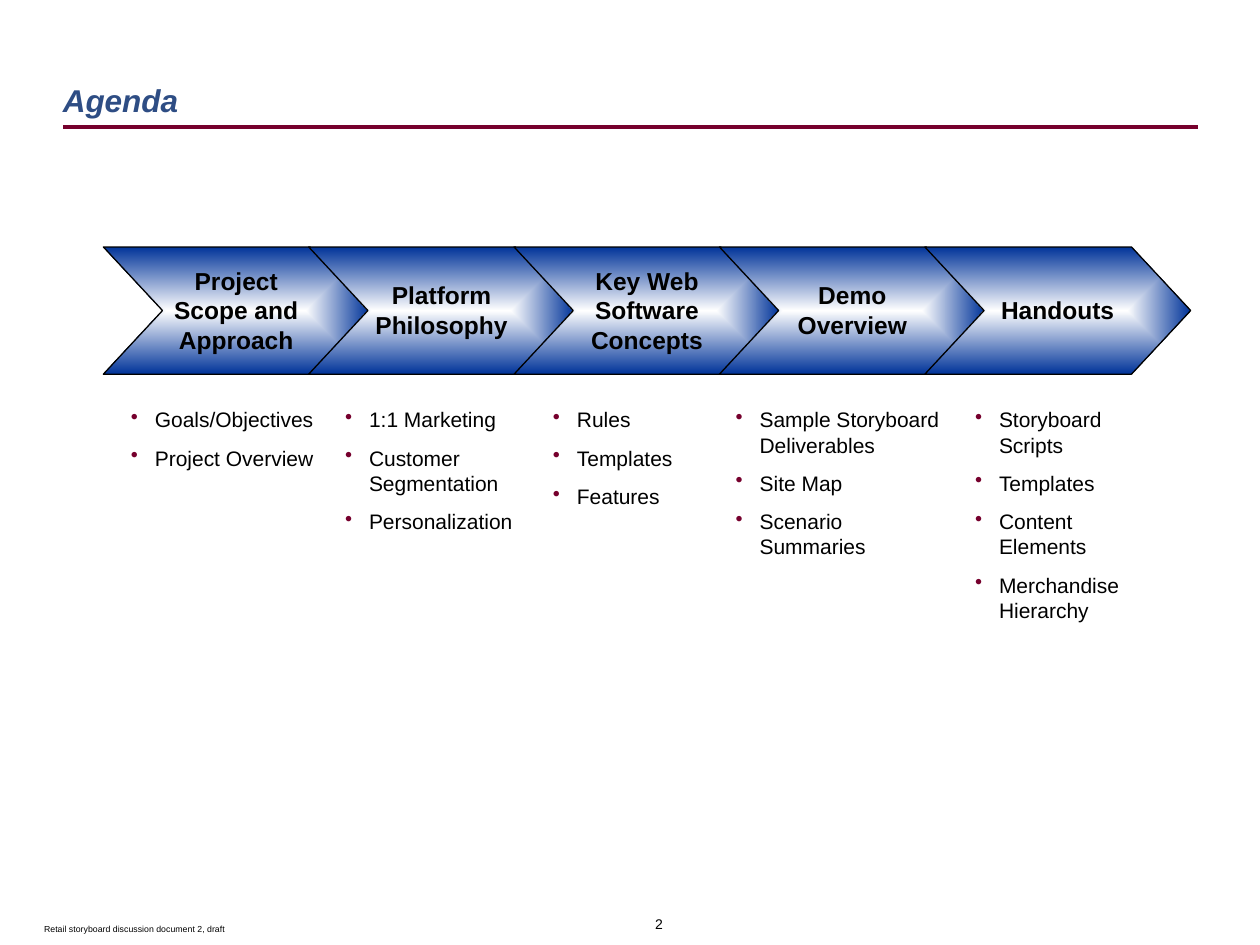
from lxml import etree
from pptx import Presentation
from pptx.dml.color import RGBColor
from pptx.enum.shapes import MSO_CONNECTOR, MSO_SHAPE
from pptx.enum.text import MSO_ANCHOR, PP_ALIGN
from pptx.oxml import parse_xml
from pptx.oxml.ns import nsdecls, qn
from pptx.util import Inches, Pt

CHEVRON = MSO_SHAPE.CHEVRON
STRAIGHT = MSO_CONNECTOR.STRAIGHT
LEFT, CENTER, RIGHT = PP_ALIGN.LEFT, PP_ALIGN.CENTER, PP_ALIGN.RIGHT
TOP, MIDDLE, BOTTOM = MSO_ANCHOR.TOP, MSO_ANCHOR.MIDDLE, MSO_ANCHOR.BOTTOM
BLACK, WHITE, BLUE, NAVY, WINE = "000000", "FFFFFF", "003399", "2E4D84", "76002D"


def color(target, code):
    target.rgb = RGBColor.from_string(code)


def add_text(lines, x, y, w, h, size=12, ink=BLACK, bold=False, italic=False,
             align=LEFT, anchor=TOP, inset=(0.1, 0.05), wrap=True,
             spacing=None, gap=0, bullet=None):
    """Add a text box with one paragraph per line; bullet is the marker colour."""
    frame = slide.shapes.add_textbox(Inches(x), Inches(y), Inches(w), Inches(h)).text_frame
    frame.word_wrap = wrap
    frame.vertical_anchor = anchor
    frame.margin_left = frame.margin_right = Inches(inset[0])
    frame.margin_top = frame.margin_bottom = Inches(inset[1])
    for i, line in enumerate(lines):
        para = frame.paragraphs[0] if i == 0 else frame.add_paragraph()
        para.alignment = align
        if spacing:
            para.line_spacing = spacing
        if i:
            para.space_before = Pt(gap)
        if bullet:
            props = para._p.get_or_add_pPr()
            props.set("marL", str(Inches(0.19)))
            props.set("indent", str(Inches(-0.19)))
            mark = etree.SubElement(props, qn("a:buClr"))
            etree.SubElement(mark, qn("a:srgbClr")).set("val", bullet)
            etree.SubElement(props, qn("a:buChar")).set("char", "•")
        run = para.add_run()
        run.text = line
        font = run.font
        font.name, font.size = "Arial", Pt(size)
        font.bold, font.italic = bold, italic
        color(font.color, ink)


deck = Presentation()
deck.slide_width, deck.slide_height = Inches(10), Inches(7.5)
slide = deck.slides.add_slide(deck.slide_layouts[6])

# Title, rule and footer
add_text(["Agenda"], 0.4, 0.63, 9.01, 0.37, size=18, ink=NAVY, bold=True,
         italic=True, anchor=BOTTOM, spacing=0.9)
rule = slide.shapes.add_connector(STRAIGHT, Inches(0.5), Inches(1.01), Inches(9.51), Inches(1.01))
rule.line.width = Pt(2)
color(rule.line.color, WINE)
etree.SubElement(rule._element.spPr, qn("a:effectLst"))
add_text(["2"], 4.65, 7.23, 0.71, 0.22, size=8, align=RIGHT, wrap=False, spacing=0.9)
add_text(["Retail storyboard discussion document 2, draft"], 0.08, 7.33, 1.98, 0.08,
         size=5, align=CENTER, inset=(0, 0))

# Steps: heading, left and width of the list, list items
steps = [
    ("Project Scope and Approach", 0.94, 1.72, ["Goals/Objectives", "Project Overview"]),
    ("Platform Philosophy", 2.64, 1.72,
     ["1:1 Marketing", "Customer Segmentation", "Personalization"]),
    ("Key Web Software Concepts", 4.29, 1.72, ["Rules", "Templates", "Features"]),
    ("Demo Overview", 5.74, 1.89,
     ["Sample Storyboard Deliverables", "Site Map", "Scenario Summaries"]),
    ("Handouts", 7.64, 1.52,
     ["Storyboard Scripts", "Templates", "Content Elements", "Merchandise Hierarchy"]),
]
START, STEP, WIDTH, HEIGHT, POINT = 0.82, 1.63, 2.11, 1.01, 0.47

for i, (head, left, width, items) in enumerate(steps):
    x = START + i * STEP
    arrow = slide.shapes.add_shape(CHEVRON, Inches(x), Inches(1.96), Inches(WIDTH), Inches(HEIGHT))
    arrow.shadow.inherit = False
    arrow.adjustments[0] = POINT / HEIGHT
    arrow.line.width = Pt(0.75)
    color(arrow.line.color, BLACK)
    arrow.fill.gradient()
    for stop, place, code in zip(arrow.fill.gradient_stops, (0, 1), (WHITE, BLUE)):
        stop.position = place
        color(stop.color, code)
    grad = arrow._element.spPr.find(qn("a:gradFill"))
    grad.replace(grad.find(qn("a:lin")), parse_xml(
        f'<a:path {nsdecls("a")} path="rect">'
        '<a:fillToRect l="50000" t="50000" r="50000" b="50000"/></a:path>'))
    add_text([head], x + 0.37, 2.06, 1.37, 0.8, size=14, bold=True,
             align=CENTER, anchor=MIDDLE)
    add_text(items, left, 3.18, width, 0.3 * len(items), gap=7.5, bullet=WINE)

deck.save("out.pptx")
